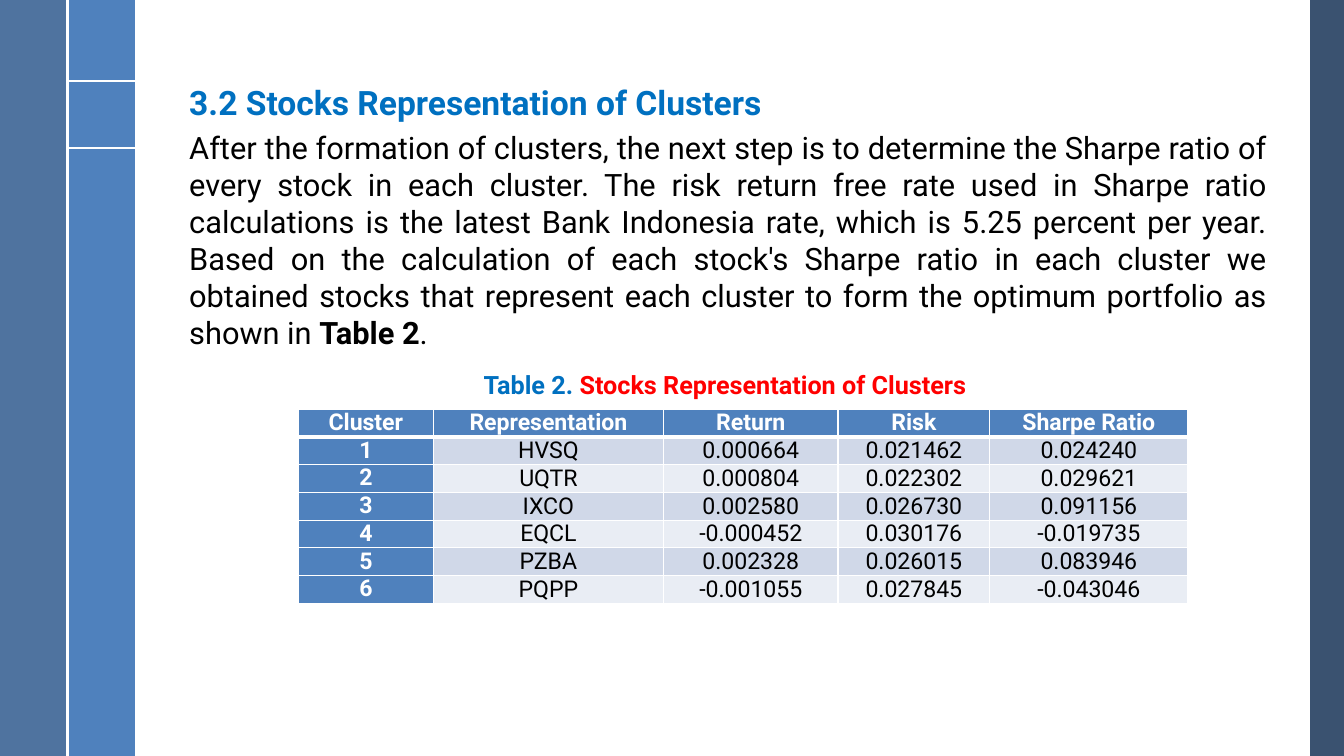
import dataclasses

import lxml.etree
import pptx
import pptx.dml.color
import pptx.enum.shapes
import pptx.enum.text
import pptx.oxml.ns
import pptx.util

Cm = pptx.util.Cm
Pt = pptx.util.Pt
qn = pptx.oxml.ns.qn
Align = pptx.enum.text.PP_ALIGN


@dataclasses.dataclass(frozen=True)
class Theme:
    font: str = "Roboto"
    white: str = "FFFFFF"
    black: str = "000000"
    blue: str = "4F81BD"
    steel: str = "376092"
    navy: str = "254061"
    title: str = "0070C0"
    red: str = "FF0000"
    bands: tuple = ("D0D8E8", "E9EDF4")
    head: float = 24
    body: float = 22
    label: float = 18
    cell: float = 16.5


THEME = Theme()
WIDTH, HEIGHT = 33.87, 19.05
STRIP, EDGE = 1.7, 0.85

BODY = (
    "After the formation of clusters, the next step is to determine the Sharpe ratio "
    "of every stock in each cluster. The risk return free rate used in Sharpe ratio "
    "calculations is the latest Bank Indonesia rate, which is 5.25 percent per year. "
    "Based on the calculation of each stock's Sharpe ratio in each cluster we obtained "
    "stocks that represent each cluster to form the optimum portfolio as shown in "
)
COLS = (3.4, 5.8, 4.4, 3.82, 5.0)
ROWS = (
    ("Cluster", "Representation", "Return", "Risk", "Sharpe Ratio"),
    ("1", "HVSQ", "0.000664", "0.021462", "0.024240"),
    ("2", "UQTR", "0.000804", "0.022302", "0.029621"),
    ("3", "IXCO", "0.002580", "0.026730", "0.091156"),
    ("4", "EQCL", "-0.000452", "0.030176", "-0.019735"),
    ("5", "PZBA", "0.002328", "0.026015", "0.083946"),
    ("6", "PQPP", "-0.001055", "0.027845", "-0.043046"),
)


def rgb(code):
    return pptx.dml.color.RGBColor.from_string(code)


def style(run, size, color, bold=False):
    run.font.name = THEME.font
    run.font.size = Pt(size)
    run.font.color.rgb = rgb(color)
    run.font.bold = bold


def add_bar(slide, left, width, color, alpha=100):
    bar = slide.shapes.add_shape(
        pptx.enum.shapes.MSO_SHAPE.RECTANGLE, Cm(left), 0, Cm(width), Cm(HEIGHT)
    )
    bar.shadow.inherit = False
    bar.fill.solid()
    bar.fill.fore_color.rgb = rgb(color)
    bar.line.fill.background()
    if alpha < 100:
        tint = bar.element.spPr.find(qn("a:solidFill"))[0]
        lxml.etree.SubElement(tint, qn("a:alpha"), val=str(alpha * 1000))


def add_rule(slide, left, top, right, bottom):
    rule = slide.shapes.add_connector(
        pptx.enum.shapes.MSO_CONNECTOR.STRAIGHT, Cm(left), Cm(top), Cm(right), Cm(bottom)
    )
    rule.line.color.rgb = rgb(THEME.white)
    rule.line.width = Pt(1.5)
    lxml.etree.SubElement(rule.element.spPr, qn("a:effectLst"))


def add_text(slide, box, size, parts, align=Align.LEFT, wrap=True):
    frame = slide.shapes.add_textbox(*map(Cm, box)).text_frame
    frame.word_wrap = wrap
    para = frame.paragraphs[0]
    para.alignment = align
    for text, color, bold in parts:
        run = para.add_run()
        run.text = text
        style(run, size, color, bold)


def add_border(cell, widths):
    props = cell._tc.get_or_add_tcPr()
    for side, width in zip("LRTB", widths):
        line = lxml.etree.SubElement(props, qn("a:ln" + side), w=str(Pt(width)))
        fill = lxml.etree.SubElement(line, qn("a:solidFill"))
        lxml.etree.SubElement(fill, qn("a:srgbClr"), val=THEME.white)


def fill_cell(cell, text, row, col):
    key = row == 0 or col == 0
    add_border(cell, (1, 1, 3 if row == 1 else 1, 3 if row == 0 else 1))
    cell.fill.solid()
    cell.fill.fore_color.rgb = rgb(THEME.blue if key else THEME.bands[(row - 1) % 2])
    cell.margin_left = cell.margin_right = Cm(0.18)
    cell.margin_top = cell.margin_bottom = 0
    anchor = pptx.enum.text.MSO_ANCHOR
    cell.vertical_anchor = anchor.TOP if key else anchor.MIDDLE
    cell.text_frame.text = text
    para = cell.text_frame.paragraphs[0]
    para.alignment = Align.CENTER
    style(para.runs[0], THEME.cell, THEME.white if key else THEME.black, key)


def add_grid(slide, left, top, pitch):
    table = slide.shapes.add_table(
        len(ROWS), len(COLS), Cm(left), Cm(top), Cm(sum(COLS)), Cm(pitch * len(ROWS))
    ).table
    for column, width in zip(table.columns, COLS):
        column.width = Cm(width)
    for row, texts in enumerate(ROWS):
        table.rows[row].height = Cm(pitch)
        for col, text in enumerate(texts):
            fill_cell(table.cell(row, col), text, row, col)


def main():
    deck = pptx.Presentation()
    deck.slide_width, deck.slide_height = Cm(WIDTH), Cm(HEIGHT)
    slide = deck.slides.add_slide(deck.slide_layouts[6])

    add_bar(slide, WIDTH - EDGE, EDGE, THEME.navy, 90)
    add_bar(slide, STRIP, STRIP, THEME.blue)
    add_bar(slide, 0, STRIP, THEME.steel, 88)
    for top in (2.05, 3.73):
        add_rule(slide, STRIP, top, 2 * STRIP, top)
    add_rule(slide, STRIP, 0, STRIP, HEIGHT)

    add_text(
        slide, (4.52, 3.12, 27.66, 6.07), THEME.body,
        [(BODY, THEME.black, False), ("Table 2", THEME.black, True), (".", THEME.black, False)],
        Align.JUSTIFY,
    )
    add_text(
        slide, (4.52, 1.93, 15.11, 1.27), THEME.head,
        [("3.2 Stocks Representation of Clusters", THEME.title, True)], wrap=False,
    )
    add_text(
        slide, (11.94, 9.17, 15.19, 1.02), THEME.label,
        [("Table 2. ", THEME.title, True), ("Stocks Representation of Clusters", THEME.red, True)],
    )
    add_grid(slide, 7.52, 10.31, 0.7)
    deck.save("out.pptx")


if __name__ == "__main__":
    main()
